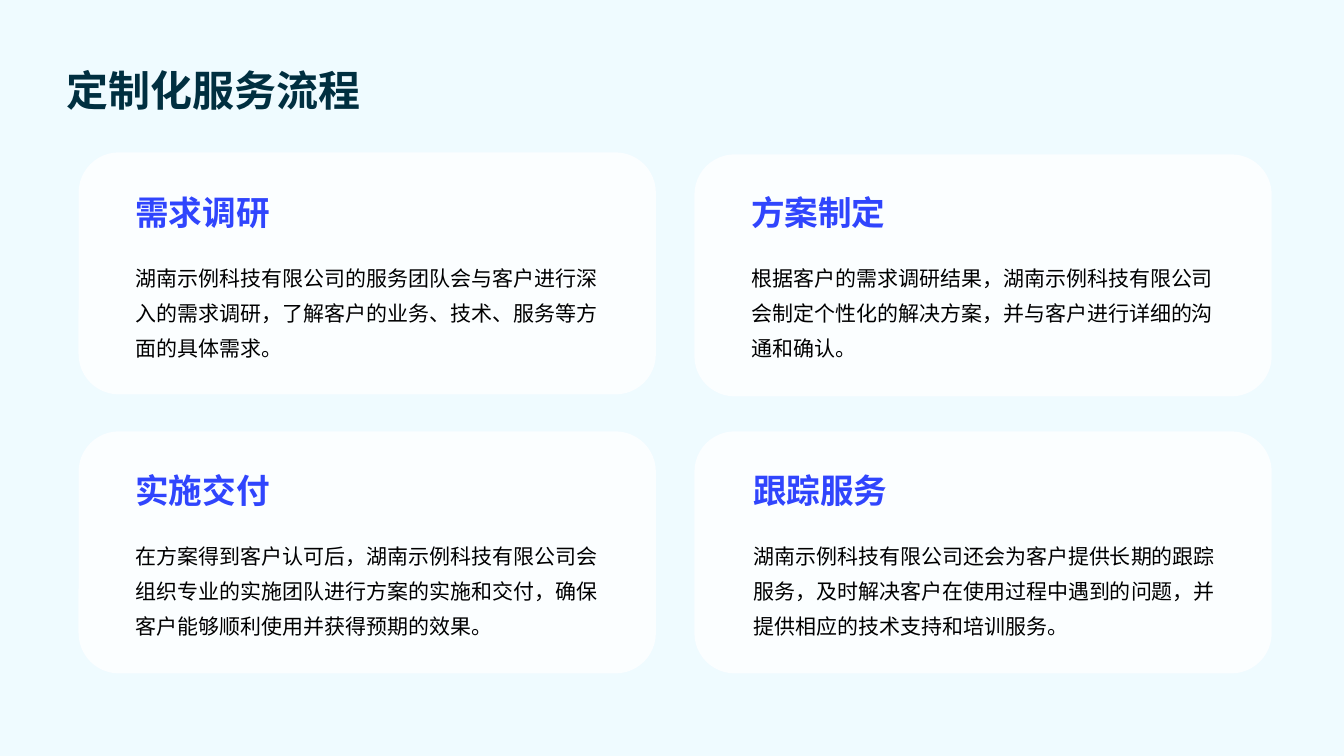
import dataclasses

import pptx
import pptx.dml.color
import pptx.enum.shapes
import pptx.enum.text
import pptx.oxml
import pptx.oxml.ns
import pptx.slide
import pptx.text.text
import pptx.util

Cm = pptx.util.Cm
Anchor = pptx.enum.text.MSO_ANCHOR

FONT = "Noto Sans CJK SC"
BACKGROUND = "EFFBFF"
TITLE_COLOR = "002F40"
HEADING_COLOR = "3045FD"
BODY_COLOR = "000000"
CARD_COLOR = "FFFFFF"
CARD_OPACITY = 80
CARD_WIDTH, CARD_HEIGHT = 14.55, 6.1
HEADING_WIDTH, HEADING_HEIGHT = 11.94, 1.75
BODY_WIDTH, BODY_HEIGHT = 12.45, 3.35


@dataclasses.dataclass(frozen=True)
class Row:
    heading_top: float
    body_top: float


@dataclasses.dataclass(frozen=True)
class Step:
    heading: str
    body: str
    card_left: float
    card_top: float
    text_left: float
    row: Row


UPPER = Row(heading_top=4.47, body_top=6.07)
LOWER = Row(heading_top=11.46, body_top=13.08)

STEPS = [
    Step("需求调研",
         "湖南示例科技有限公司的服务团队会与客户进行深入的需求调研，了解客户的业务、技术、服务等方面的具体需求。",
         1.98, 3.84, 3.05, UPPER),
    Step("方案制定",
         "根据客户的需求调研结果，湖南示例科技有限公司会制定个性化的解决方案，并与客户进行详细的沟通和确认。",
         17.5, 3.89, 18.57, UPPER),
    Step("实施交付",
         "在方案得到客户认可后，湖南示例科技有限公司会组织专业的实施团队进行方案的实施和交付，确保客户能够顺利使用并获得预期的效果。",
         1.98, 10.87, 3.05, LOWER),
    Step("跟踪服务",
         "湖南示例科技有限公司还会为客户提供长期的跟踪服务，及时解决客户在使用过程中遇到的问题，并提供相应的技术支持和培训服务。",
         17.5, 10.87, 18.62, LOWER),
]


def set_color(target: pptx.dml.color.ColorFormat, color: str) -> None:
    target.rgb = pptx.dml.color.RGBColor.from_string(color)


def write_text(frame: pptx.text.text.TextFrame, text: str, *, size: float, color: str,
               spacing: float, bold: bool = False, anchor: Anchor = Anchor.TOP) -> None:
    frame.word_wrap = True
    frame.auto_size = pptx.enum.text.MSO_AUTO_SIZE.NONE
    frame.vertical_anchor = anchor
    frame.margin_left = frame.margin_top = frame.margin_bottom = Cm(0.36)
    frame.margin_right = Cm(0.15)
    paragraph = frame.paragraphs[0]
    paragraph.alignment = pptx.enum.text.PP_ALIGN.LEFT
    paragraph.line_spacing = spacing
    run = paragraph.add_run()
    run.text = text
    run.font.size = pptx.util.Pt(size)
    run.font.bold = bold
    run.font.name = FONT
    set_color(run.font.color, color)
    east_asian = pptx.oxml.ns.qn("a:ea")
    run.font._element.makeelement(east_asian)
    run.font._element.append(run.font._element.makeelement(east_asian, {"typeface": FONT}))


def add_card(slide: pptx.slide.Slide, step: Step) -> None:
    card = slide.shapes.add_shape(
        pptx.enum.shapes.MSO_SHAPE.ROUNDED_RECTANGLE,
        Cm(step.card_left), Cm(step.card_top), Cm(CARD_WIDTH), Cm(CARD_HEIGHT))
    card.shadow.inherit = False
    card.line.fill.background()
    card.fill.solid()
    set_color(card.fill.fore_color, CARD_COLOR)
    color_element = card._element.spPr.find(".//" + pptx.oxml.ns.qn("a:srgbClr"))
    alpha = color_element.makeelement(
        pptx.oxml.ns.qn("a:alpha"), {"val": str(CARD_OPACITY * 1000)})
    color_element.append(alpha)


def add_step_text(slide: pptx.slide.Slide, step: Step) -> None:
    heading = slide.shapes.add_textbox(
        Cm(step.text_left), Cm(step.row.heading_top), Cm(HEADING_WIDTH), Cm(HEADING_HEIGHT))
    write_text(heading.text_frame, step.heading, size=24, color=HEADING_COLOR,
               spacing=1.2, bold=True, anchor=Anchor.BOTTOM)
    body = slide.shapes.add_textbox(
        Cm(step.text_left), Cm(step.row.body_top), Cm(BODY_WIDTH), Cm(BODY_HEIGHT))
    write_text(body.text_frame, step.body, size=15, color=BODY_COLOR, spacing=1.4)


def add_title(slide: pptx.slide.Slide, text: str) -> None:
    title = slide.shapes.title
    title.left, title.top, title.width, title.height = Cm(1.32), Cm(0.74), Cm(31.22), Cm(2.54)
    write_text(title.text_frame, text, size=30, color=TITLE_COLOR,
               spacing=1.4, bold=True, anchor=Anchor.MIDDLE)


def main() -> None:
    presentation = pptx.Presentation()
    presentation.slide_width = Cm(33.87)
    presentation.slide_height = Cm(19.05)
    slide = presentation.slides.add_slide(presentation.slide_layouts.get_by_name("Title Only"))
    slide.background.fill.solid()
    set_color(slide.background.fill.fore_color, BACKGROUND)
    add_title(slide, "定制化服务流程")
    for step in STEPS:
        add_card(slide, step)
        add_step_text(slide, step)
    presentation.save("out.pptx")


if __name__ == "__main__":
    main()
